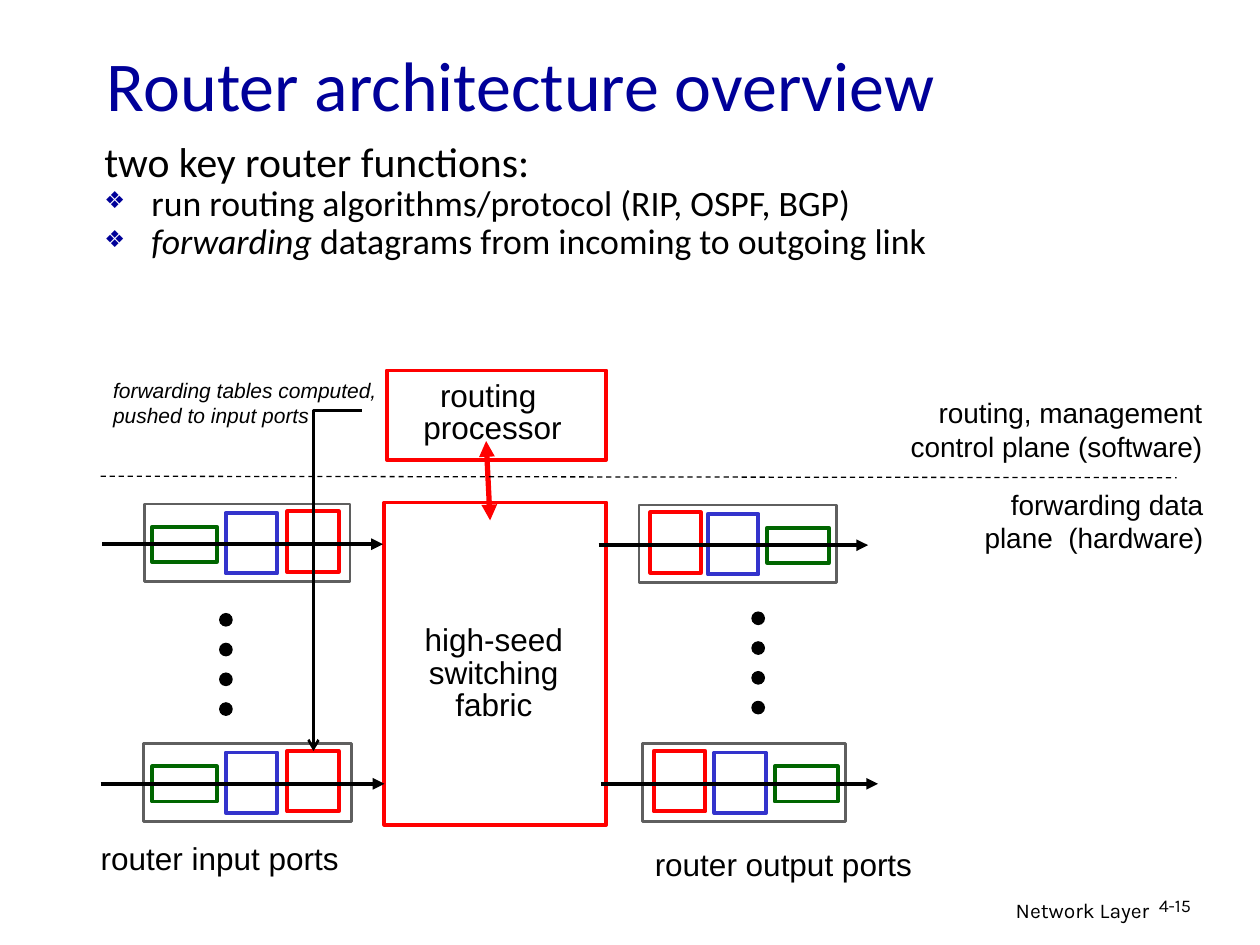
"""Builds the router architecture overview slide."""
from lxml import etree
from pptx import Presentation
from pptx.dml.color import RGBColor
from pptx.enum.dml import MSO_LINE
from pptx.enum.shapes import MSO_CONNECTOR, MSO_SHAPE
from pptx.enum.text import MSO_ANCHOR, MSO_AUTO_SIZE, PP_ALIGN
from pptx.oxml.ns import qn
from pptx.util import Cm, Pt

RECTANGLE, OVAL = MSO_SHAPE.RECTANGLE, MSO_SHAPE.OVAL
STRAIGHT, DASH = MSO_CONNECTOR.STRAIGHT, MSO_LINE.DASH
LEFT, CENTER, RIGHT = PP_ALIGN.LEFT, PP_ALIGN.CENTER, PP_ALIGN.RIGHT
MIDDLE, TOP, NO_FIT = MSO_ANCHOR.MIDDLE, MSO_ANCHOR.TOP, MSO_AUTO_SIZE.NONE

COLORS = {
    "white": "FFFFFF", "black": "000000", "navy": "000099", "red": "FF0000",
    "green": "006600", "blue": "3333CC", "gray": "5F5F5F",
}
CELLS = {"green": (0.46, 0.71), "blue": (0.18, 1.22), "red": (0.15, 1.22)}
PORT_HEIGHT, ARROW_OFFSET = 1.57, 0.81
DOT_SIZE, DOT_STEP, DOT_COUNT = 0.25, 0.6, 4


class SlideBuilder:
    """Holds the style and the slide being drawn."""

    def __init__(self, slide, font="Arial"):
        self.slide = slide
        self.font = font

    def color(self, name):
        return RGBColor.from_string(COLORS[name])

    def run(self, paragraph, text, size, color="black", font=None, italic=False):
        run = paragraph.add_run()
        run.text = text
        run.font.size = Pt(size)
        run.font.name = font or self.font
        run.font.italic = italic
        run.font.color.rgb = self.color(color)

    def place(self, shape, left, top, width, height):
        shape.left, shape.top = Cm(left), Cm(top)
        shape.width, shape.height = Cm(width), Cm(height)

    def title(self, text, *box):
        title = self.slide.shapes.title
        self.place(title, *box)
        frame = title.text_frame
        frame.auto_size, frame.vertical_anchor = NO_FIT, MIDDLE
        frame.paragraphs[0].alignment = LEFT
        self.run(frame.paragraphs[0], text, 40, "navy", "Calibri")

    def bullet(self, paragraph, character):
        properties = paragraph._p.get_or_add_pPr()
        properties.set("marL", str(Cm(0.95)))
        properties.set("indent", str(-Cm(0.95)))
        if not character:
            etree.SubElement(properties, qn("a:buNone"))
            return
        color = etree.SubElement(properties, qn("a:buClr"))
        etree.SubElement(color, qn("a:srgbClr"), val=COLORS["navy"])
        etree.SubElement(properties, qn("a:buSzPct"), val="65000")
        etree.SubElement(properties, qn("a:buChar"), char=character)

    def body(self, items, *box):
        body = self.slide.placeholders[1]
        self.place(body, *box)
        frame = body.text_frame
        frame.auto_size, frame.vertical_anchor = NO_FIT, TOP
        for index, (character, size, space, runs) in enumerate(items):
            paragraph = frame.add_paragraph() if index else frame.paragraphs[0]
            paragraph.alignment = LEFT
            paragraph.line_spacing = 0.65
            paragraph.space_before = Pt(space)
            self.bullet(paragraph, character)
            for text, italic in runs:
                self.run(paragraph, text, size, font="Calibri", italic=italic)

    def text(self, lines, box, size, alignment=LEFT, spacing=1.0, wrap=False,
             font=None, italic=False):
        frame = self.slide.shapes.add_textbox(*map(Cm, box)).text_frame
        frame.word_wrap = wrap
        for index, line in enumerate(lines):
            paragraph = frame.add_paragraph() if index else frame.paragraphs[0]
            paragraph.alignment = alignment
            paragraph.line_spacing = spacing
            self.run(paragraph, line, size, font=font, italic=italic)

    def outline(self, shape, color, width):
        shape.line.color.rgb = self.color(color)
        shape.line.width = Pt(width)

    def shape(self, kind, box, line, width=2.25, fill="white", parent=None):
        shapes = (parent or self.slide).shapes
        shape = shapes.add_shape(kind, *map(Cm, box))
        shape.shadow.inherit = False
        shape.fill.solid()
        shape.fill.fore_color.rgb = self.color(fill)
        self.outline(shape, line, width)

    def arrowheads(self, shape, head, tail):
        line = shape.line._get_or_add_ln()
        for tag, kind in (("a:headEnd", head), ("a:tailEnd", tail)):
            if kind:
                etree.SubElement(line, qn(tag), type=kind)

    def line(self, ends, color="black", width=2.25, head=None, tail=None,
             dash=None, parent=None):
        shapes = (parent or self.slide).shapes
        connector = shapes.add_connector(STRAIGHT, *map(Cm, ends))
        etree.SubElement(connector._element.spPr, qn("a:effectLst"))
        self.outline(connector, color, width)
        if dash:
            connector.line.dash_style = dash
        self.arrowheads(connector, head, tail)

    def bent_arrow(self, points, width):
        start, *others = [(Cm(x), Cm(y)) for x, y in points]
        builder = self.slide.shapes.build_freeform(*start)
        builder.add_line_segments(others, close=False)
        shape = builder.convert_to_shape()
        shape.shadow.inherit = False
        shape.fill.background()
        self.outline(shape, "black", width)
        self.arrowheads(shape, None, "arrow")

    def port(self, left, top, width, cells, start, end):
        group = self.slide.shapes.add_group_shape()
        self.shape(RECTANGLE, (left, top, width, PORT_HEIGHT), "gray", 1.5,
                   parent=group)
        for color, (cell_left, cell_width) in cells.items():
            offset, height = CELLS[color]
            self.shape(RECTANGLE, (cell_left, top + offset, cell_width, height),
                       color, parent=group)
        middle = top + ARROW_OFFSET
        self.line((start, middle, end, middle), tail="triangle", parent=group)

    def dots(self, left, top):
        group = self.slide.shapes.add_group_shape()
        for index in range(DOT_COUNT):
            box = (left, top + index * DOT_STEP, DOT_SIZE, DOT_SIZE)
            self.shape(OVAL, box, "black", 0.75, "black", group)


def main():
    presentation = Presentation()
    presentation.slide_width, presentation.slide_height = Cm(25.4), Cm(19.05)
    slide = presentation.slides.add_slide(presentation.slide_layouts[1])
    builder = SlideBuilder(slide)

    builder.text(["Network Layer"], (15.37, 17.96, 8.05, 0.79), 12, RIGHT,
                 wrap=True, font="Karla")
    builder.text(["4-15"], (23.11, 17.96, 1.88, 0.76), 10.2, spacing=0.9,
                 wrap=True, font="Karla")
    builder.title("Router architecture overview", 1.9, 0.84, 21.59, 1.7)
    builder.body([
        (None, 23.8, 4.5, [("two key router functions:", False)]),
        ("❖", 20.4, 6,
         [("run routing algorithms/protocol (RIP, OSPF, BGP)", False)]),
        ("❖", 20.4, 6, [("forwarding ", True),
                        ("datagrams from incoming to outgoing link", False)]),
    ], 1.85, 2.92, 22.58, 2.54)

    builder.shape(RECTANGLE, (7.75, 10.13, 4.47, 6.5), "red")
    builder.text(["high-seed ", "switching", "fabric"],
                 (8.23, 12.5, 3.45, 2.21), 18, CENTER, 0.85)
    builder.shape(RECTANGLE, (7.8, 7.47, 4.42, 1.8), "red")
    builder.text(["routing ", "processor"],
                 (8.28, 7.57, 3.3, 1.55), 18, CENTER, 0.85)
    builder.line((9.8, 8.89, 9.88, 10.49), "red", 3, "triangle", "triangle")

    input_cells = {"green": (3.07, 1.3), "blue": (4.55, 1.04), "red": (5.79, 1.04)}
    builder.port(2.92, 10.16, 4.14, input_cells, 2.06, 7.72)
    builder.port(2.9, 14.99, 4.19, input_cells, 2.03, 7.75)
    builder.dots(4.43, 12.37)
    builder.text(["router input ports"], (1.78, 16.79, 5.31, 1.02), 18)

    builder.port(12.88, 10.18, 3.99, {
        "green": (15.47, 1.24), "blue": (14.27, 1.02), "red": (13.11, 1.02),
    }, 12.07, 17.5)
    builder.port(12.95, 14.99, 4.09, {
        "green": (15.62, 1.27), "blue": (14.4, 1.04), "red": (13.18, 1.04),
    }, 12.12, 17.7)
    builder.dots(15.16, 12.34)
    builder.text(["router output ports"], (12.95, 16.92, 5.69, 1.02), 18)

    builder.line((2.03, 9.6, 23.72, 9.63), width=0.75, dash=DASH)
    builder.text(["forwarding data plane  (hardware)"],
                 (19.13, 9.7, 5.38, 1.63), 16, RIGHT, wrap=True)
    builder.text(["routing, management", "control plane (software)"],
                 (17.68, 7.85, 6.81, 1.63), 16, RIGHT, wrap=True)
    builder.bent_arrow([(7.29, 8.28), (6.32, 8.28), (6.32, 15.14)], 1.5)
    builder.text(["forwarding tables computed,", "pushed to input ports"],
                 (2.03, 7.49, 5.82, 1.27), 12, italic=True)

    presentation.save("out.pptx")


if __name__ == "__main__":
    main()
